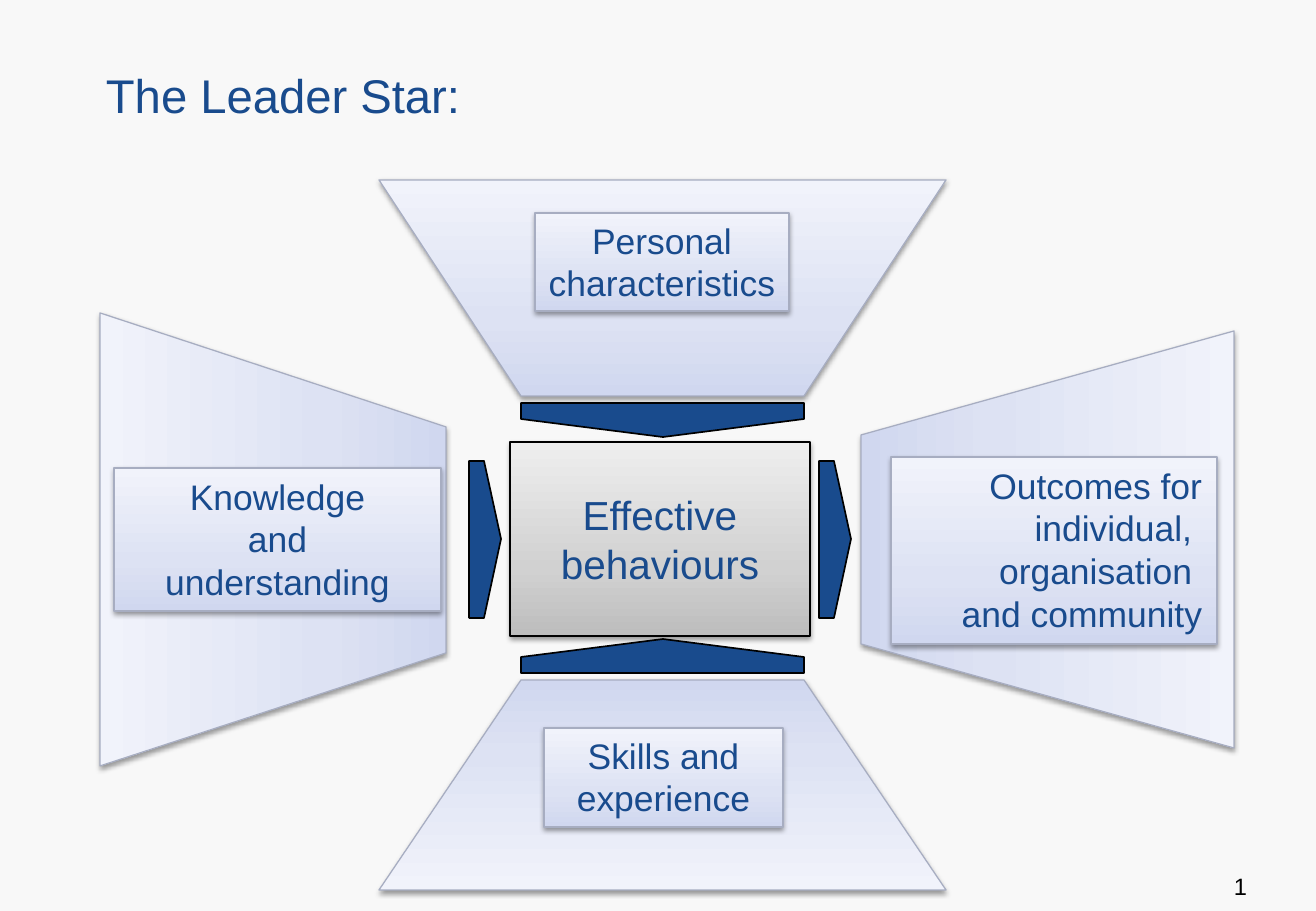
from dataclasses import dataclass

from lxml import etree
from pptx import Presentation
from pptx import util as u
from pptx.dml.color import RGBColor
from pptx.enum import shapes, text
from pptx.oxml import ns

PX = 914400 / 121.5


@dataclass(frozen=True)
class Theme:
    font: str = "Arial"
    paper: str = "F8F8F8"
    blue: str = "194B8D"
    black: str = "000000"
    edge: str = "A7ADC1"
    pale: tuple = ((0, "D0D7EF"), (35, "DDE2F3"), (100, "F1F3FB"))
    grey: tuple = ((0, "BDBDBD"), (35, "D1D1D1"), (100, "EEEEEE"))
    title: int = 28
    core: int = 24
    label: int = 21
    number: int = 14
    thin: float = 0.75
    solid: float = 1


THEME = Theme()
UP, LEFT, DOWN, RIGHT = 90, 180, 270, 0
PANELS = (
    (((379, 180), (521, 396), (804, 396), (946, 180)), UP),
    (((379, 890), (521, 680), (804, 680), (946, 890)), DOWN),
    (((100, 313), (446, 427), (446, 653), (100, 766)), LEFT),
    (((1234, 331), (861, 435), (861, 644), (1234, 748)), RIGHT),
)
LABELS = (
    ("Personal\vcharacteristics", (535, 213, 254, 98), {"wrap": False}),
    ("Skills and experience", (544, 728, 239, 99), {}),
    ("Knowledge\nand\nunderstanding", (114, 468, 327, 143), {"inset": (15, 7)}),
    (
        "Outcomes for individual, \vorganisation \vand community",
        (891, 457, 326, 187),
        {"inset": (15, 7), "align": text.PP_ALIGN.RIGHT},
    ),
)


def px(value):
    return u.Emu(round(value * PX))


def color(code):
    return RGBColor.from_string(code)


def add_child(parent, tag, **attributes):
    child = etree.SubElement(parent, ns.qn(tag))
    for name, value in attributes.items():
        child.set(name, str(value))
    return child


def set_line(shape, code, width):
    shape.line.color.rgb = color(code)
    shape.line.width = u.Pt(width)


def set_gradient(shape, stops, angle):
    shape.fill.gradient()
    shape.fill.gradient_angle = angle
    stop_list = shape._element.spPr.find(".//" + ns.qn("a:gsLst"))
    for stop in list(stop_list):
        stop_list.remove(stop)
    for position, code in stops:
        stop = add_child(stop_list, "a:gs", pos=position * 1000)
        add_child(stop, "a:srgbClr", val=code)


def set_shadow(shape):
    shape.shadow.inherit = False
    effects = shape._element.spPr.find(ns.qn("a:effectLst"))
    shadow = add_child(
        effects,
        "a:outerShdw",
        blurRad=u.Pt(3.1),
        dist=u.Pt(1.6),
        dir=90 * 60000,
        rotWithShape=0,
    )
    shade = add_child(shadow, "a:srgbClr", val=THEME.black)
    add_child(shade, "a:alpha", val=38000)


def write(
    shape,
    words,
    size=THEME.label,
    code=THEME.blue,
    align=text.PP_ALIGN.CENTER,
    anchor=text.MSO_ANCHOR.TOP,
    inset=(12, 6),
    wrap=True,
):
    frame = shape.text_frame
    frame.text = words
    frame.word_wrap = wrap
    frame.vertical_anchor = anchor
    frame.margin_left = frame.margin_right = px(inset[0])
    frame.margin_top = frame.margin_bottom = px(inset[1])
    for para in frame.paragraphs:
        para.alignment = align
        for span in para.runs:
            span.font.name = THEME.font
            span.font.size = u.Pt(size)
            span.font.color.rgb = color(code)


def add_text(page, words, place, **look):
    box = page.shapes.add_textbox(*map(px, place))
    write(box, words, **look)


def add_outline(page, points):
    builder = page.shapes.build_freeform(*points[0], scale=PX)
    builder.add_line_segments(points[1:], close=True)
    return builder.convert_to_shape()


def add_arrow(page, points):
    arrow = add_outline(page, points)
    arrow.shadow.inherit = False
    arrow.fill.solid()
    arrow.fill.fore_color.rgb = color(THEME.blue)
    set_line(arrow, THEME.black, THEME.solid)


def add_side_arrow(page, base, shoulder, tip):
    top, middle, bottom = 461, 539, 618
    add_arrow(
        page,
        ((base, bottom), (shoulder, bottom), (tip, middle), (shoulder, top), (base, top)),
    )


def add_upright_arrow(page, base, shoulder, tip):
    left, middle, right = 521, 663, 804
    add_arrow(
        page,
        ((left, base), (left, shoulder), (middle, tip), (right, shoulder), (right, base)),
    )


def add_panel(page, points, angle):
    panel = add_outline(page, points)
    set_gradient(panel, THEME.pale, angle)
    set_line(panel, THEME.edge, THEME.thin)
    set_shadow(panel)


def add_box(page, words, place, stops=THEME.pale, edge=THEME.edge, **look):
    box = page.shapes.add_shape(shapes.MSO_SHAPE.RECTANGLE, *map(px, place))
    set_gradient(box, stops, UP)
    set_line(box, edge, THEME.thin)
    set_shadow(box)
    write(box, words, **look)


def main():
    deck = Presentation()
    deck.slide_width, deck.slide_height = px(1316), px(911)
    page = deck.slides.add_slide(deck.slide_layouts[6])
    page.background.fill.solid()
    page.background.fill.fore_color.rgb = color(THEME.paper)

    add_text(
        page,
        "The Leader Star:",
        (94, 35, 892, 94),
        size=THEME.title,
        align=text.PP_ALIGN.LEFT,
        anchor=text.MSO_ANCHOR.BOTTOM,
    )
    for points, angle in PANELS:
        add_panel(page, points, angle)
    for words, place, look in LABELS:
        add_box(page, words, place, **look)
    add_box(
        page,
        "Effective\nbehaviours",
        (510, 442, 300, 194),
        stops=THEME.grey,
        edge=THEME.black,
        size=THEME.core,
        anchor=text.MSO_ANCHOR.MIDDLE,
        inset=(15, 7),
        wrap=False,
    )
    add_side_arrow(page, 469, 484, 501)
    add_side_arrow(page, 819, 834, 851)
    add_upright_arrow(page, 403, 419, 437)
    add_upright_arrow(page, 673, 657, 639)
    add_text(
        page,
        "1",
        (1162, 866, 97, 45),
        size=THEME.number,
        code=THEME.black,
        align=text.PP_ALIGN.RIGHT,
    )
    deck.save("out.pptx")


if __name__ == "__main__":
    main()
